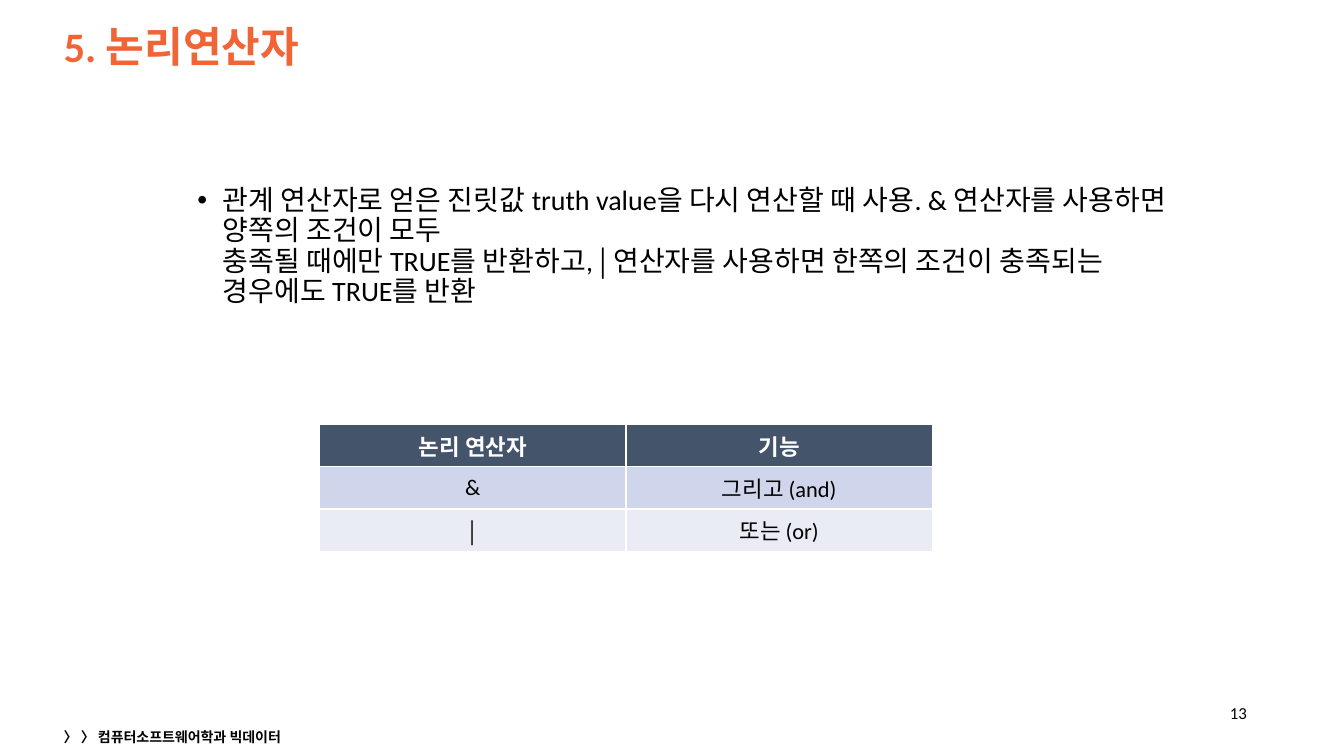
"""Builds the slide on logical operators with its table of two operators."""
import pptx
import pptx.util
import pptx.dml.color
import pptx.enum.text
import pptx.oxml.ns
import lxml.etree

COLORS = {"accent": "F06436", "text": "000000", "white": "FFFFFF",
          "header": "44546A", "band_dark": "CFD5EA", "band_light": "E9EBF5"}
LATIN, KOREAN = "Calibri", "Noto Sans CJK KR"
ALIGN, ANCHOR = pptx.enum.text.PP_ALIGN, pptx.enum.text.MSO_ANCHOR

deck = pptx.Presentation()
deck.slide_width = pptx.util.Inches(13.33)
deck.slide_height = pptx.util.Inches(7.5)
column, row = deck.slide_width / 100, deck.slide_height / 100
slide = deck.slides.add_slide(deck.slide_layouts[5])


def place(left, top, width, height):
    """Turns grid columns and rows into slide lengths."""
    return int(left * column), int(top * row), int(width * column), int(height * row)


def style(paragraph, size, color="text", bold=False, align=ALIGN.LEFT):
    """Formats a paragraph and all its runs."""
    paragraph.alignment = align
    for run in paragraph.runs:
        run.font.size = pptx.util.Pt(size)
        run.font.bold = bold
        run.font.name = KOREAN if run.text.strip() == "|" else LATIN
        run.font.color.rgb = pptx.dml.color.RGBColor.from_string(COLORS[color])
        east_asian = lxml.etree.SubElement(run.font._element, pptx.oxml.ns.qn("a:ea"))
        east_asian.set("typeface", KOREAN)


heading = slide.shapes.title
heading.left, heading.top, heading.width, heading.height = place(4, 1.6, 92.55, 9.73)
heading.text_frame.text = "5. 논리연산자"
heading.text_frame.vertical_anchor = ANCHOR.MIDDLE
heading.text_frame.paragraphs[0].line_spacing = 0.9
style(heading.text_frame.paragraphs[0], 30, "accent", bold=True)

explanation = slide.shapes.add_textbox(*place(6.45, 24, 82.65, 67.47)).text_frame
explanation.word_wrap = True
sentence = explanation.paragraphs[0]
sentence.text = ("관계 연산자로 얻은 진릿값 truth value을 다시 연산할 때 사용. & 연산자를 "
                 "사용하면 양쪽의 조건이 모두 \v충족될 때에만 TRUE를 반환하고, ")
for part in ("| ", "연산자를 사용하면 한쪽의 조건이 충족되는 경우에도 TRUE를 반환"):
    sentence.add_run().text = part
style(sentence, 20)
sentence.line_spacing = 0.9
sentence.space_before = pptx.util.Pt(5)
bullet_format = sentence._p.get_or_add_pPr()
bullet_format.set("marL", str(pptx.util.Inches(1.25)))
bullet_format.set("indent", str(pptx.util.Inches(-0.25)))
for tag, key, value in (("a:buFont", "typeface", "Arial"), ("a:buChar", "char", "•")):
    lxml.etree.SubElement(bullet_format, pptx.oxml.ns.qn(tag)).set(key, value)

operator_rows = [("논리 연산자", "기능", "header"),
                 ("&", "그리고 (and)", "band_dark"),
                 ("|", "또는 (or)", "band_light")]
operators = slide.shapes.add_table(3, 2, *place(23.78, 56.13, 45.6, 16.8)).table
for row_index, (*labels, fill) in enumerate(operator_rows):
    is_header = row_index == 0
    for column_index, label in enumerate(labels):
        cell = operators.cell(row_index, column_index)
        cell.text_frame.text = label
        cell.vertical_anchor = ANCHOR.MIDDLE
        cell.fill.solid()
        cell.fill.fore_color.rgb = pptx.dml.color.RGBColor.from_string(COLORS[fill])
        style(cell.text_frame.paragraphs[0], 16, "white" if is_header else "text",
              is_header, ALIGN.CENTER)

margin_texts = [("13", (90.22, 91.6, 3.3, 5.33), 12, False, ALIGN.RIGHT),
                ("〉 〉 컴퓨터소프트웨어학과 빅데이터", (4, 95.87, 33.75, 3.2), 10, True, ALIGN.LEFT)]
for words, area, size, bold, align in margin_texts:
    margin_frame = slide.shapes.add_textbox(*place(*area)).text_frame
    margin_frame.word_wrap = True
    margin_frame.vertical_anchor = ANCHOR.MIDDLE
    margin_frame.text = words
    style(margin_frame.paragraphs[0], size, bold=bold, align=align)

deck.save("out.pptx")
